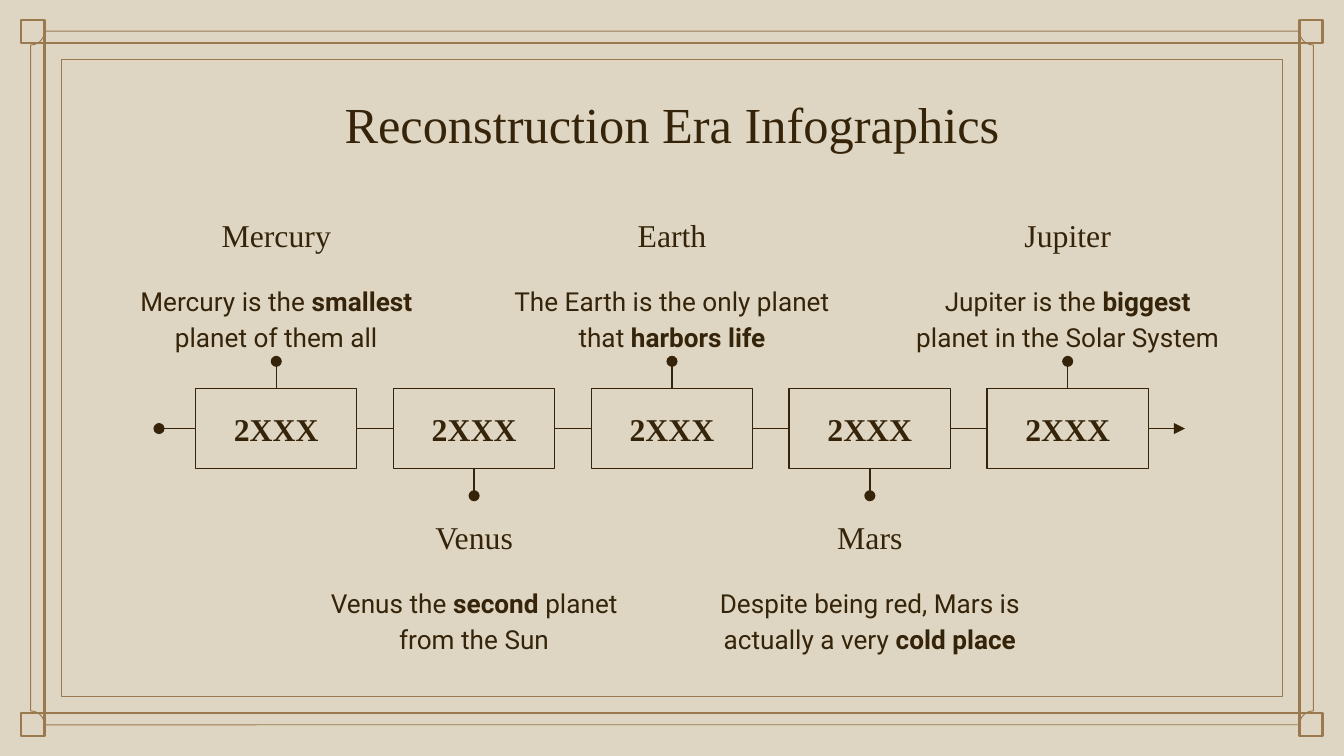
from dataclasses import dataclass
from typing import Optional

from lxml.etree import SubElement
from pptx import Presentation
from pptx.dml.color import RGBColor
from pptx.enum.shapes import MSO_CONNECTOR, MSO_SHAPE
from pptx.enum.text import MSO_ANCHOR as Anchor, PP_ALIGN as Align
from pptx.oxml.ns import qn
from pptx.util import Pt

BACKGROUND = RGBColor(0xDE, 0xD6, 0xC2)
FRAME = RGBColor(0x9B, 0x79, 0x4E)
INK = RGBColor(0x35, 0x24, 0x0A)
SERIF, SANS = "Times New Roman", "Roboto"

WIDTH, HEIGHT = 720, 405
CORNER_LEFT, CORNER_TOP, CORNER_SIZE = 11.4, 10.6, 12.4
NODE_STEP, NODE_WIDTH, NODE_HEIGHT = 106, 86.4, 43.2
NODE_TOP = 208
AXIS = NODE_TOP + NODE_HEIGHT / 2
STEM = 14.4
LABEL_WIDTH, HEADING_HEIGHT, BODY_HEIGHT = 183.6, 39.4, 50.4
UPPER_TOP, LOWER_TOP = 103.7, 265.5


@dataclass(frozen=True)
class Segment:
    text: str
    bold: bool = False


@dataclass(frozen=True)
class Planet:
    name: str
    segments: tuple[Segment, ...]


@dataclass(frozen=True)
class Box:
    left: float
    top: float
    width: float
    height: float

    def lengths(self) -> tuple:
        return Pt(self.left), Pt(self.top), Pt(self.width), Pt(self.height)


PLANETS = (
    Planet("Mercury", (Segment("Mercury is the "), Segment("smallest ", True),
                       Segment("planet of them all"))),
    Planet("Venus", (Segment("Venus the "), Segment("second ", True),
                     Segment("planet from the Sun"))),
    Planet("Earth", (Segment("The Earth is the only planet that"),
                     Segment(" harbors life", True))),
    Planet("Mars", (Segment("Despite being red, Mars is actually a very "),
                    Segment("cold place", True))),
    Planet("Jupiter", (Segment("Jupiter is the "), Segment("biggest ", True),
                       Segment("planet in the Solar System"))),
)


def inset(left: float, top: float) -> Box:
    return Box(left, top, WIDTH - 2 * left, HEIGHT - 2 * top)


def write(shape, segments: tuple[Segment, ...], font_name: str, size: float,
          anchor: Anchor, spacing: float = 1.0) -> None:
    frame = shape.text_frame
    frame.word_wrap = True
    frame.vertical_anchor = anchor
    frame.margin_left = frame.margin_right = Pt(7.2)
    frame.margin_top = frame.margin_bottom = Pt(7.2)
    paragraph = frame.paragraphs[0]
    paragraph.alignment = Align.CENTER
    paragraph.line_spacing = spacing
    for segment in segments:
        run = paragraph.add_run()
        run.text = segment.text
        run.font.name = font_name
        run.font.size = Pt(size)
        run.font.bold = segment.bold
        run.font.color.rgb = INK


def add_outline(slide, kind: MSO_SHAPE, box: Box, color: RGBColor, weight: float):
    shape = slide.shapes.add_shape(kind, *box.lengths())
    shape.shadow.inherit = False
    shape.fill.background()
    shape.line.color.rgb = color
    shape.line.width = Pt(weight)
    return shape


def add_line(slide, x1: float, y1: float, x2: float, y2: float,
             end: Optional[str] = None) -> None:
    connector = slide.shapes.add_connector(
        MSO_CONNECTOR.STRAIGHT, Pt(x1), Pt(y1), Pt(x2), Pt(y2))
    connector.line.color.rgb = INK
    connector.line.width = Pt(0.75)
    properties = connector.element.spPr
    if end:
        SubElement(properties.find(qn("a:ln")), qn("a:tailEnd"), type=end)
    SubElement(properties, qn("a:effectLst"))


def add_frame(slide) -> None:
    for left in (CORNER_LEFT, WIDTH - CORNER_LEFT - CORNER_SIZE):
        for top in (CORNER_TOP, HEIGHT - CORNER_TOP - CORNER_SIZE):
            corner = Box(left, top, CORNER_SIZE, CORNER_SIZE)
            add_outline(slide, MSO_SHAPE.RECTANGLE, corner, FRAME, 1.28)
    border = inset(CORNER_LEFT + CORNER_SIZE, CORNER_TOP + CORNER_SIZE)
    add_outline(slide, MSO_SHAPE.RECTANGLE, border, FRAME, 1.28)
    add_outline(slide, MSO_SHAPE.RECTANGLE, inset(33, 31.75), FRAME, 0.5)
    plaque = add_outline(slide, MSO_SHAPE.PLAQUE, inset(16.4, 16.7), FRAME, 0.5)
    plaque.adjustments[0] = 0.02


def add_label(slide, planet: Planet, center: float, top: float) -> None:
    left = center - LABEL_WIDTH / 2
    heading = Box(left, top, LABEL_WIDTH, HEADING_HEIGHT)
    body = Box(left, top + HEADING_HEIGHT, LABEL_WIDTH, BODY_HEIGHT)
    write(slide.shapes.add_textbox(*heading.lengths()), (Segment(planet.name),),
          SERIF, 17, Anchor.BOTTOM, 1.15)
    write(slide.shapes.add_textbox(*body.lengths()), planet.segments,
          SANS, 14, Anchor.TOP, 1.15)


def add_timeline(slide) -> None:
    gap = NODE_STEP - NODE_WIDTH
    bottom = NODE_TOP + NODE_HEIGHT
    for index, planet in enumerate(PLANETS):
        center = WIDTH / 2 + (index - 2) * NODE_STEP
        left = center - NODE_WIDTH / 2
        node = add_outline(slide, MSO_SHAPE.RECTANGLE,
                           Box(left, NODE_TOP, NODE_WIDTH, NODE_HEIGHT), INK, 0.75)
        write(node, (Segment("2XXX", True),), SERIF, 17, Anchor.MIDDLE)
        if index % 2:
            add_label(slide, planet, center, LOWER_TOP)
            add_line(slide, center, bottom, center, bottom + STEM, "oval")
        else:
            add_label(slide, planet, center, UPPER_TOP)
            add_line(slide, center, NODE_TOP, center, NODE_TOP - STEM, "oval")
        add_line(slide, left, AXIS, left - gap, AXIS, None if index else "oval")
    right = WIDTH / 2 + 2 * NODE_STEP + NODE_WIDTH / 2
    add_line(slide, right, AXIS, right + gap, AXIS, "triangle")


def main() -> None:
    presentation = Presentation()
    presentation.slide_width, presentation.slide_height = Pt(WIDTH), Pt(HEIGHT)
    slide = presentation.slides.add_slide(presentation.slide_layouts[5])
    slide.background.fill.solid()
    slide.background.fill.fore_color.rgb = BACKGROUND
    add_frame(slide)
    title = slide.shapes.title
    title.left, title.top, title.width, title.height = Box(56.2, 42.5, 607.6, 46.8).lengths()
    write(title, (Segment("Reconstruction Era Infographics"),), SERIF, 27, Anchor.TOP)
    add_timeline(slide)
    presentation.save("out.pptx")


if __name__ == "__main__":
    main()
